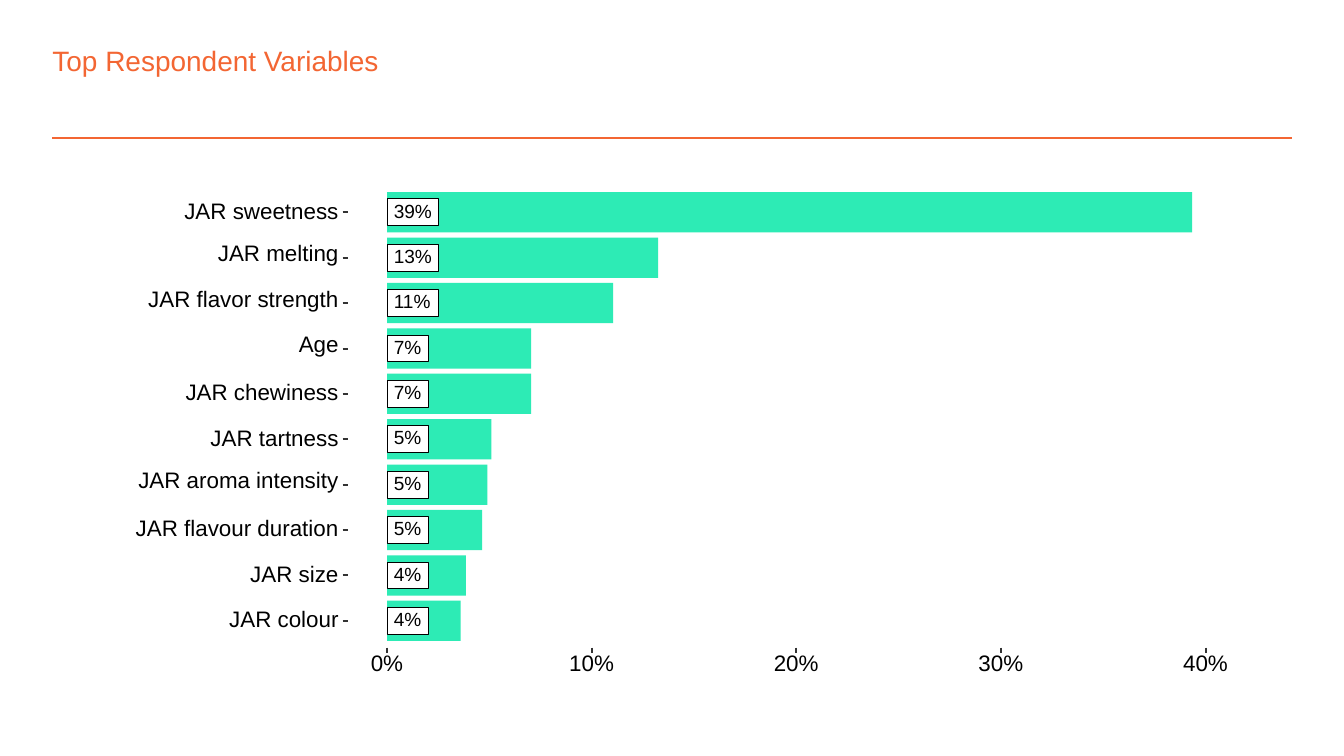
"""Build a slide that ranks the top respondent variables as labelled bars."""
from typing import NamedTuple

from lxml.etree import SubElement
from pptx import Presentation
from pptx.dml.color import RGBColor
from pptx.enum.shapes import MSO_CONNECTOR as Connector, MSO_SHAPE as Preset
from pptx.enum.text import MSO_ANCHOR as Anchor, MSO_AUTO_SIZE as AutoSize, PP_ALIGN as Align
from pptx.oxml.ns import qn
from pptx.util import Inches, Pt

COLORS = {
    "accent": "F36633",
    "bar": "2DEBB5",
    "panel": "FFFFFF",
    "text": "000000",
    "tick": "333333",
}
SLIDE_WIDTH = 10
SLIDE_HEIGHT = SLIDE_WIDTH * 9 / 16
AXIS_X = 2.88
AXIS_END = 8.97
PERCENT_WIDTH = (AXIS_END - AXIS_X) / 40
FIRST_ROW_Y = 1.58
LAST_ROW_Y = 4.62
BAR_HEIGHT = 0.3
TAG_HEIGHT = 0.2
LABEL_RIGHT = 2.52
TICK_LENGTH = 0.04


class Variable(NamedTuple):
    name: str
    share: float
    name_width: float
    lift: float = 0


VARIABLES = [
    Variable("JAR sweetness", 39.35, 1.15),
    Variable("JAR melting", 13.25, 0.9, 0.02),
    Variable("JAR flavor strength", 11.05, 1.42, 0.02),
    Variable("Age", 7.05, 0.3, 0.02),
    Variable("JAR chewiness", 7.05, 1.14),
    Variable("JAR tartness", 5.1, 0.95),
    Variable("JAR aroma intensity", 4.9, 1.49, 0.02),
    Variable("JAR flavour duration", 4.65, 1.51),
    Variable("JAR size", 3.85, 0.66),
    Variable("JAR colour", 3.6, 0.82),
]


def rgb(color: str) -> RGBColor:
    return RGBColor.from_string(COLORS[color])


def write(frame, text: str, *, size: float, color: str = "text", align=Align.LEFT,
          spacing: float | None = None, wrap: bool = False) -> None:
    frame.margin_left = frame.margin_right = frame.margin_top = frame.margin_bottom = 0
    frame.vertical_anchor = Anchor.MIDDLE
    frame.auto_size = AutoSize.NONE
    frame.word_wrap = wrap
    paragraph = frame.paragraphs[0]
    paragraph.alignment = align
    if spacing:
        paragraph.line_spacing = Pt(spacing)
    run = paragraph.add_run()
    run.text = text
    run.font.name = "Arial"
    run.font.size = Pt(size)
    run.font.color.rgb = rgb(color)


def add_label(shapes, text: str, left: float, middle: float, width: float,
              height: float, size: float, align=Align.LEFT) -> None:
    label = shapes.add_textbox(Inches(left), Inches(middle - height / 2),
                               Inches(width), Inches(height))
    write(label.text_frame, text, size=size, align=align, spacing=size)


def add_box(shapes, left: float, middle: float, width: float, height: float,
            fill: str, line: str | None = None, weight: float = 0) -> None:
    box = shapes.add_shape(Preset.RECTANGLE, Inches(left), Inches(middle - height / 2),
                           Inches(width), Inches(height))
    box.shadow.inherit = False
    box.fill.solid()
    box.fill.fore_color.rgb = rgb(fill)
    if line:
        box.line.color.rgb = rgb(line)
        box.line.width = Pt(weight)
    else:
        box.line.fill.background()


def add_line(shapes, x1: float, y1: float, x2: float, y2: float,
             color: str = "tick", weight: float = 1.07) -> None:
    rule = shapes.add_connector(Connector.STRAIGHT, Inches(x1), Inches(y1),
                                Inches(x2), Inches(y2))
    rule.line.color.rgb = rgb(color)
    rule.line.width = Pt(weight)
    SubElement(rule._element.spPr, qn("a:effectLst"))


def add_variable(shapes, variable: Variable, row_y: float) -> None:
    share_text = f"{variable.share:.0f}%"
    share_width = 0.07 * (len(share_text) + 1)
    add_box(shapes, AXIS_X, row_y, variable.share * PERCENT_WIDTH, BAR_HEIGHT, "bar")
    add_box(shapes, AXIS_X, row_y, share_width + 0.1, TAG_HEIGHT, "panel", "text", 0.53)
    add_label(shapes, share_text, AXIS_X + 0.05, row_y, share_width, 0.11, 10.2)
    add_label(shapes, variable.name, LABEL_RIGHT - variable.name_width,
              row_y - variable.lift, variable.name_width, 0.12, 12, Align.RIGHT)
    add_line(shapes, 2.55, row_y, 2.55 + TICK_LENGTH, row_y)


def add_axis_mark(shapes, percent: int) -> None:
    x = AXIS_X + percent * PERCENT_WIDTH
    width = 0.33 if percent else 0.24
    add_line(shapes, x, 4.82, x, 4.82 + TICK_LENGTH)
    add_label(shapes, f"{percent}%", x - width / 2, 4.95, width, 0.13, 12, Align.CENTER)


def main() -> None:
    deck = Presentation()
    deck.slide_width, deck.slide_height = Inches(SLIDE_WIDTH), Inches(SLIDE_HEIGHT)
    slide = deck.slides.add_slide(deck.slide_layouts[5])

    add_line(slide.shapes, 0.39, 1.03, 9.61, 1.03, "accent", 1)
    title = slide.shapes.title
    title.left, title.top = Inches(0.39), Inches(0.32)
    title.width, title.height = Inches(8.29), Inches(0.25)
    write(title.text_frame, "Top Respondent Variables", size=15, color="accent", wrap=True)

    ranking = slide.shapes.add_group_shape().shapes
    add_box(ranking, 0.75, 3.3, 8.5, 4, "panel", "panel", 1.07)
    row_pitch = (LAST_ROW_Y - FIRST_ROW_Y) / (len(VARIABLES) - 1)
    for row, variable in enumerate(VARIABLES):
        add_variable(ranking, variable, FIRST_ROW_Y + row * row_pitch)
    for percent in range(0, 50, 10):
        add_axis_mark(ranking, percent)

    deck.save("out.pptx")


if __name__ == "__main__":
    main()
